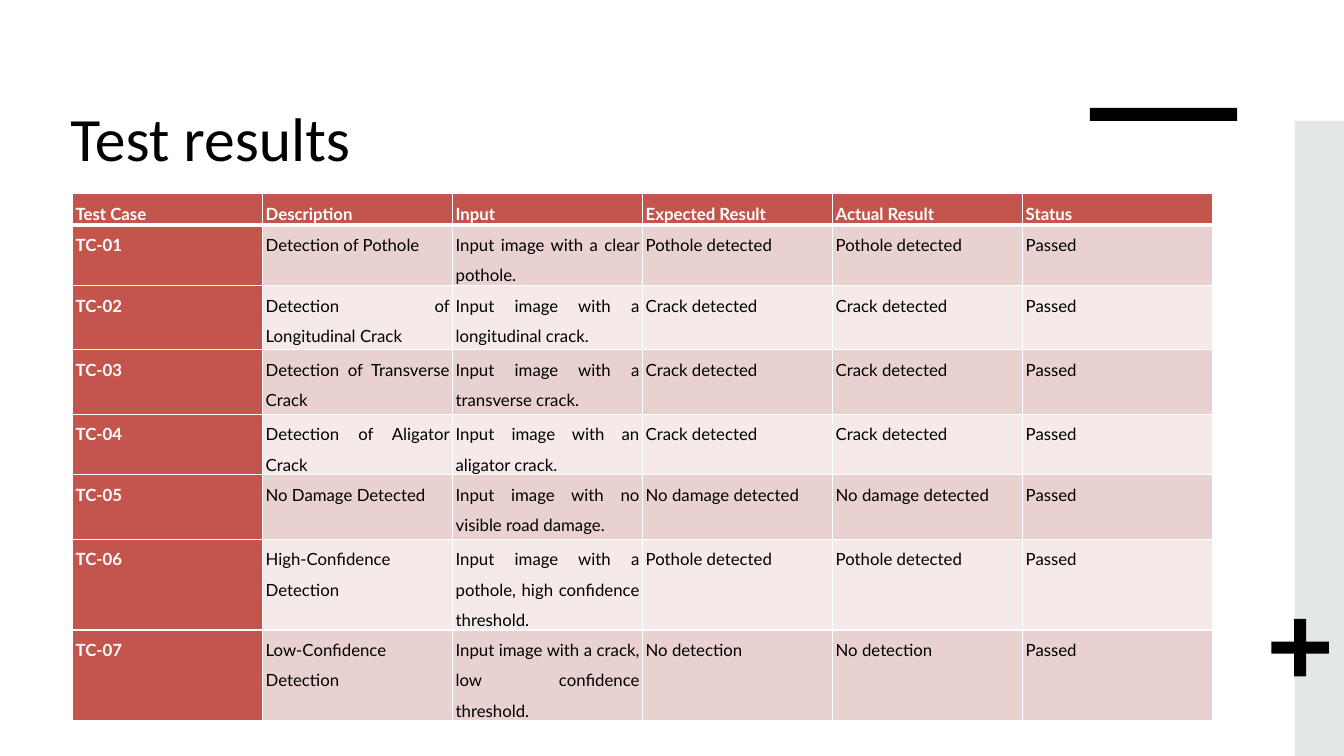
from lxml.etree import SubElement
from pptx import Presentation
from pptx.dml.color import RGBColor
from pptx.enum.shapes import MSO_SHAPE
from pptx.enum.text import MSO_ANCHOR, PP_ALIGN
from pptx.oxml.ns import qn
from pptx.util import Inches, Pt

HEADINGS = ["Test Case", "Description", "Input", "Expected Result", "Actual Result", "Status"]
TESTS = [
    ("Detection of Pothole", "Input image with a clear pothole.", "Pothole detected"),
    ("Detection of Longitudinal Crack", "Input image with a longitudinal crack.", "Crack detected"),
    ("Detection of Transverse Crack", "Input image with a transverse crack.", "Crack detected"),
    ("Detection of Aligator Crack", "Input image with an aligator crack.", "Crack detected"),
    ("No Damage Detected", "Input image with no visible road damage.", "No damage detected"),
    ("High-Confidence Detection", "Input image with a pothole, high confidence threshold.",
     "Pothole detected"),
    ("Low-Confidence Detection", "Input image with a crack, low confidence threshold.",
     "No detection"),
]
ROW_HEIGHTS = [0.31, 0.48, 0.64, 0.64, 0.48, 0.64, 0.81, 0.81]


def color(hex_value):
    """Turn a hex string into a colour."""
    return RGBColor.from_string(hex_value)


def write(frame, text, font="Lato", size=12, ink="000000", bold=False,
          align=PP_ALIGN.JUSTIFY, spacing=1.5):
    """Write one formatted paragraph into a text frame."""
    paragraph = frame.paragraphs[0]
    paragraph.alignment = align
    paragraph.line_spacing = spacing
    run = paragraph.add_run()
    run.text = text
    run.font.name = font
    run.font.size = Pt(size)
    run.font.bold = bold
    run.font.color.rgb = color(ink)


class ResultsSlide:
    """Hold the style and the slide being built."""

    black, white, panel = "000000", "FFFFFF", "E2E8E8"
    accent, bands = "C3554D", ("F5E9E9", "E9D1D0")

    def __init__(self, deck):
        """Add a blank slide to the deck."""
        self.slide = deck.slides.add_slide(deck.slide_layouts[6])

    def block(self, kind, box, fill):
        """Add a flat preset shape."""
        block = self.slide.shapes.add_shape(kind, *map(Inches, box))
        block.shadow.inherit = False
        block.fill.solid()
        block.fill.fore_color.rgb = color(fill)
        block.line.fill.background()
        return block

    def title(self, text, box):
        """Add the slide title."""
        frame = self.slide.shapes.add_textbox(*map(Inches, box)).text_frame
        frame.word_wrap = True
        frame.vertical_anchor = MSO_ANCHOR.TOP
        write(frame, text, font="Calibri", size=44, ink=self.black,
              align=PP_ALIGN.LEFT, spacing=1)

    def borders(self, cell, row):
        """Draw the white cell edges, thicker below the headings."""
        properties = cell._tc.get_or_add_tcPr()
        widths = {"L": 1, "R": 1, "T": 3 if row == 1 else 1, "B": 3 if row == 0 else 1}
        for side, width in widths.items():
            edge = SubElement(properties, qn(f"a:ln{side}"), w=str(Pt(width)))
            SubElement(SubElement(edge, qn("a:solidFill")), qn("a:srgbClr"), val=self.white)

    def cell(self, cell, text, row, column):
        """Style and fill one table cell."""
        heading = row == 0 or column == 0
        cell.margin_left = cell.margin_right = Inches(0.03)
        cell.margin_top = cell.margin_bottom = 0
        self.borders(cell, row)
        cell.fill.solid()
        cell.fill.fore_color.rgb = color(self.accent if heading else self.bands[row % 2])
        write(cell.text_frame, text, ink=self.white if heading else self.black, bold=heading)

    def table(self, rows, heights, box):
        """Add a table with equal columns."""
        count = len(rows[0])
        table = self.slide.shapes.add_table(len(rows), count, *map(Inches, box)).table
        for column in table.columns:
            column.width = Inches(box[2] / count)
        for row, (texts, height) in enumerate(zip(rows, heights)):
            table.rows[row].height = Inches(height)
            for column, text in enumerate(texts):
                self.cell(table.cell(row, column), text, row, column)


def main():
    """Build and save the slide."""
    deck = Presentation()
    deck.slide_width, deck.slide_height = Inches(13.33), Inches(7.5)
    results = ResultsSlide(deck)
    results.block(MSO_SHAPE.RECTANGLE, (10.81, 1.07, 1.46, 0.13), results.black)
    results.block(MSO_SHAPE.RECTANGLE, (12.84, 1.2, 0.5, 6.3), results.panel)
    plus = results.block(MSO_SHAPE.CROSS, (12.61, 6.14, 0.57, 0.57), results.black)
    plus.adjustments[0] = 0.395
    results.title("Test results", (0.6, 0.94, 9.04, 1.58))
    rows = [HEADINGS] + [
        (f"TC-{number:02}", description, given, outcome, outcome, "Passed")
        for number, (description, given, outcome) in enumerate(TESTS, 1)
    ]
    results.table(rows, ROW_HEIGHTS, (0.72, 1.92, 11.31, sum(ROW_HEIGHTS)))
    deck.save("out.pptx")


if __name__ == "__main__":
    main()
